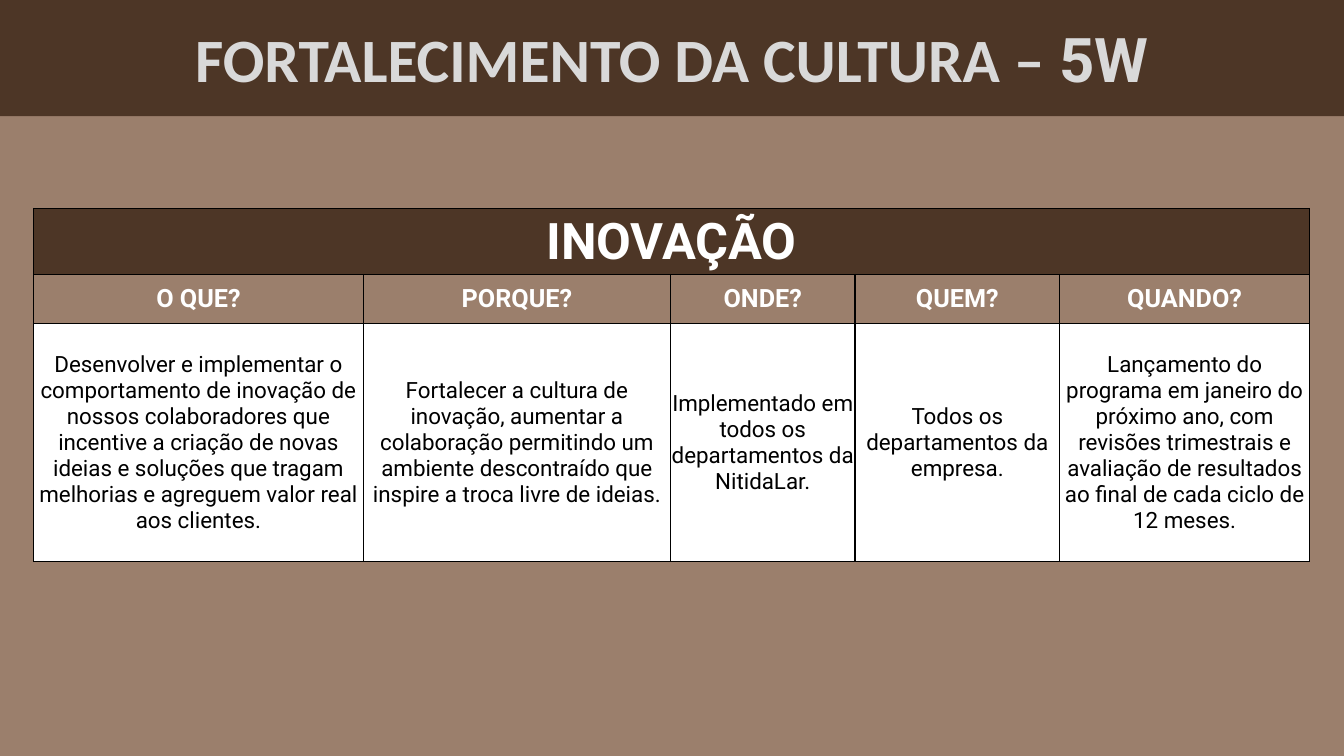
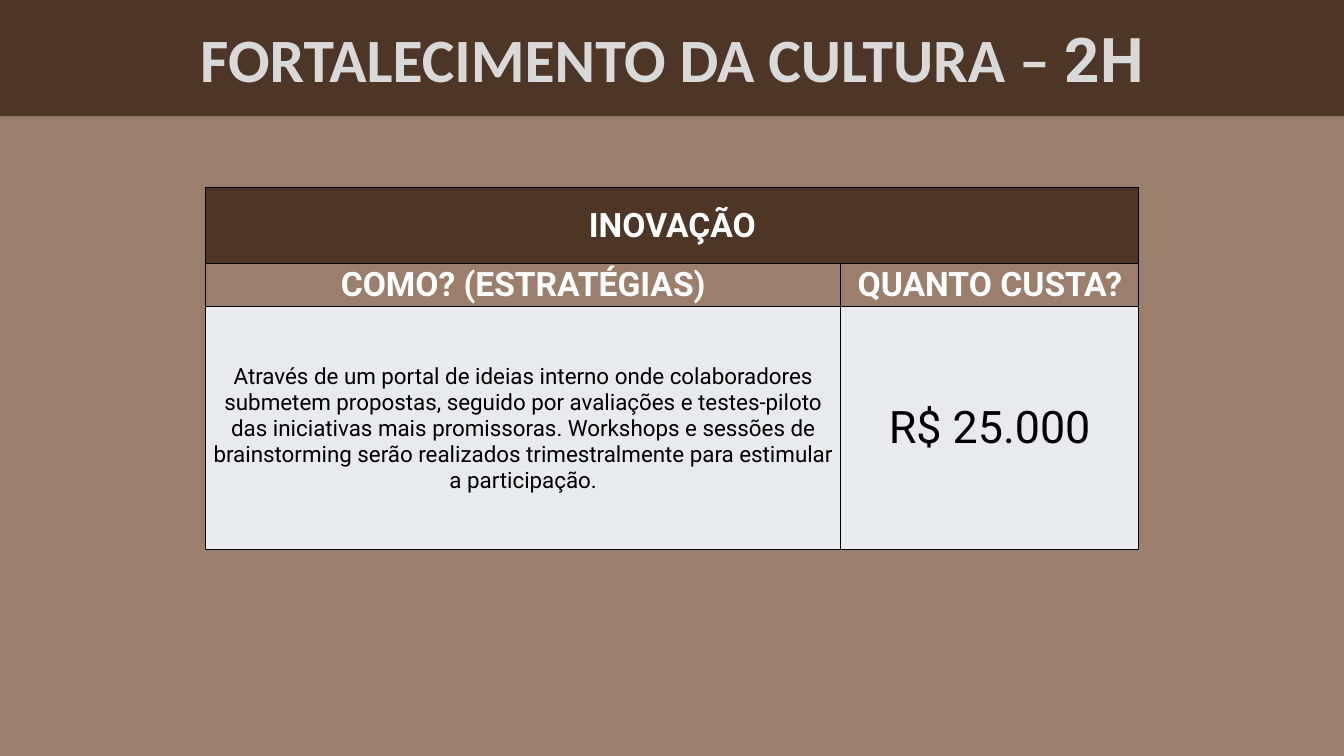
from lxml import etree
from pptx import Presentation
from pptx.dml.color import RGBColor
from pptx.enum import shapes, text
from pptx.oxml.ns import qn
from pptx.util import Pt

SLIDE_W, SLIDE_H = 960, 540
BAND_H = 83
COLORS = {
    "dark": "4D3626",
    "tan": "9B7F6C",
    "title": "D9D9D9",
    "white": "FFFFFF",
    "mist": "E8EAED",
    "black": "000000",
}


def rgb(name):
    return RGBColor.from_string(COLORS[name])


def add_run(paragraph, words, size, color, bold=False, font="Roboto"):
    paragraph.alignment = text.PP_ALIGN.CENTER
    run = paragraph.add_run()
    run.text = words
    run.font.name, run.font.size, run.font.bold = font, Pt(size), bold
    run.font.color.rgb = rgb(color)


def add_borders(cell):
    properties = cell._tc.get_or_add_tcPr()
    for side in ("lnL", "lnR", "lnT", "lnB"):
        line = etree.SubElement(properties, qn("a:" + side), w=str(Pt(1)))
        fill = etree.SubElement(line, qn("a:solidFill"))
        etree.SubElement(fill, qn("a:srgbClr"), val=COLORS["black"])


def fill_cell(cell, words, fill, size, color, bold):
    cell.margin_left = cell.margin_right = cell.margin_top = Pt(0.75)
    cell.margin_bottom = Pt(0)
    cell.vertical_anchor = text.MSO_ANCHOR.MIDDLE
    cell.fill.solid()
    cell.fill.fore_color.rgb = rgb(fill)
    add_run(cell.text_frame.paragraphs[0], words, size, color, bold)


def add_title_band(slide, left, top, width, height, suffix):
    band = slide.shapes.add_shape(
        shapes.MSO_SHAPE.RECTANGLE, Pt(left), Pt(top), Pt(width), Pt(height))
    band.shadow.inherit = False
    band.fill.solid()
    band.fill.fore_color.rgb = rgb("dark")
    band.line.fill.background()
    band.text_frame.word_wrap = True
    band.text_frame.vertical_anchor = text.MSO_ANCHOR.MIDDLE
    title = band.text_frame.paragraphs[0]
    add_run(title, "FORTALECIMENTO DA CULTURA – ", 44, "title", True, "Calibri")
    add_run(title, suffix, 44, "title", True)


def add_plan_table(slide, left, top, widths, heights, heading, heading_size,
                   question_size, answer_fill, plan):
    """plan holds one (question, answer, answer size) per column."""
    table = slide.shapes.add_table(
        len(heights), len(widths), Pt(left), Pt(top),
        Pt(sum(widths)), Pt(sum(heights))).table
    table.first_row = table.horz_banding = False
    for column, width in zip(table.columns, widths):
        column.width = Pt(width)
    for row, height in zip(table.rows, heights):
        row.height = Pt(height)
    for cell in table.iter_cells():
        add_borders(cell)

    # Heading across all columns
    table.cell(0, 0).merge(table.cell(0, len(widths) - 1))
    fill_cell(table.cell(0, 0), heading, "dark", heading_size, "white", True)

    # Questions with their answers below
    for i, (question, answer, answer_size) in enumerate(plan):
        fill_cell(table.cell(1, i), question, "tan", question_size, "white", True)
        fill_cell(table.cell(2, i), answer, answer_fill, answer_size, "black", False)


def add_plan_slide(deck, suffix, **table):
    slide = deck.slides.add_slide(deck.slide_layouts[6])
    slide.background.fill.solid()
    slide.background.fill.fore_color.rgb = rgb("tan")
    add_title_band(slide, 0, 0, SLIDE_W, BAND_H, suffix)
    add_plan_table(slide, heading="INOVAÇÃO", **table)


def main():
    deck = Presentation()
    deck.slide_width, deck.slide_height = Pt(SLIDE_W), Pt(SLIDE_H)

    # What, why, where, who, when
    add_plan_slide(
        deck, "5W", left=24, top=149,
        widths=[235.5, 219.5, 131.75, 146.25, 178.5], heights=[47, 35, 170],
        heading_size=36, question_size=18, answer_fill="white",
        plan=[
            ("O QUE?", "Desenvolver e implementar o comportamento de inovação de "
             "nossos colaboradores que incentive a criação de novas ideias e "
             "soluções que tragam melhorias e agreguem valor real aos clientes.", 16),
            ("PORQUE?", "Fortalecer a cultura de inovação, aumentar a colaboração "
             "permitindo um ambiente descontraído que inspire a troca livre de "
             "ideias.", 16),
            ("ONDE?", "Implementado em todos os departamentos da NitidaLar.", 16),
            ("QUEM?", "Todos os departamentos da empresa.", 16),
            ("QUANDO?", "Lançamento do programa em janeiro do próximo ano, com "
             "revisões trimestrais e avaliação de resultados ao final de cada "
             "ciclo de 12 meses.", 16),
        ])

    # How, how much
    add_plan_slide(
        deck, "2H", left=147, top=134,
        widths=[453.5, 213], heights=[54, 31, 173.5],
        heading_size=24, question_size=24, answer_fill="mist",
        plan=[
            ("COMO? (ESTRATÉGIAS)", "Através de um portal de ideias interno onde "
             "colaboradores submetem propostas, seguido por avaliações e "
             "testes-piloto das iniciativas mais promissoras. Workshops e sessões "
             "de brainstorming serão realizados trimestralmente para estimular a "
             "participação.", 16),
            ("QUANTO CUSTA?", "R$ 25.000", 32),
        ])

    deck.save("out.pptx")


if __name__ == "__main__":
    main()
